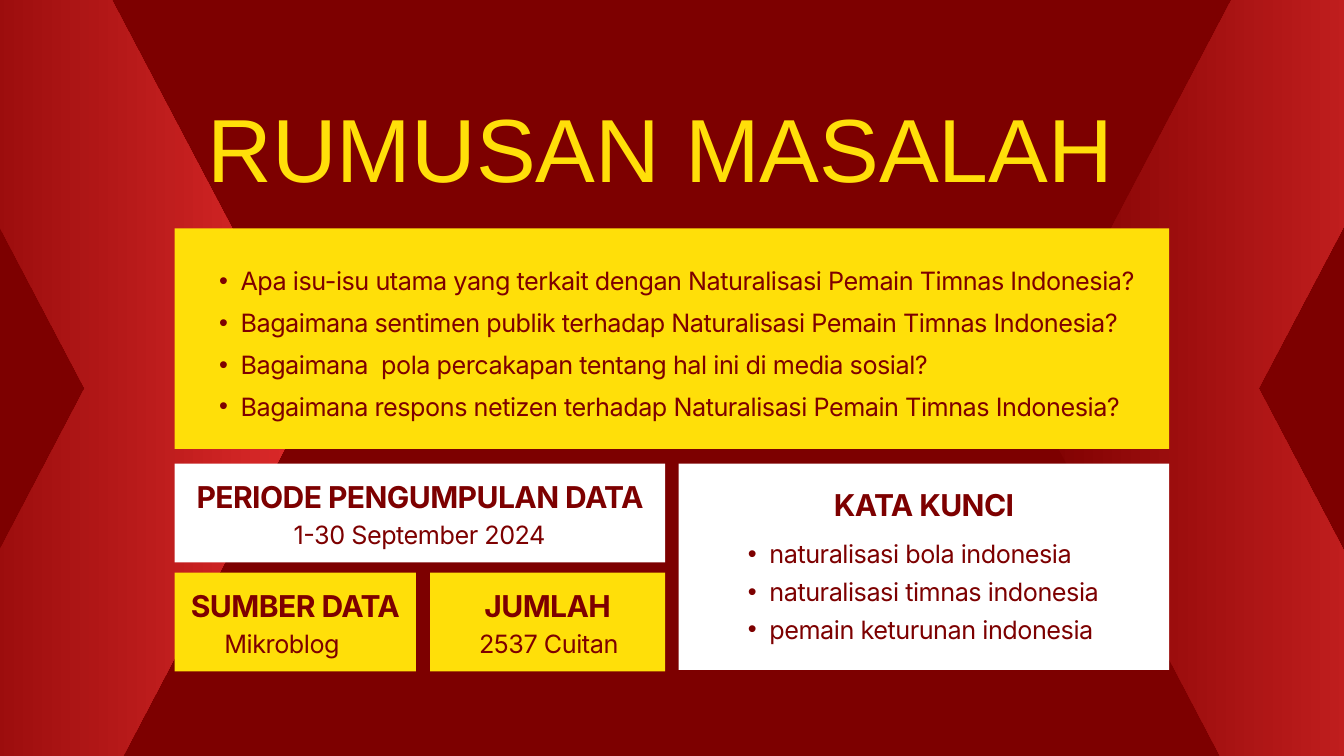
from dataclasses import dataclass

from lxml.etree import SubElement
from pptx import Presentation
from pptx.dml.color import RGBColor
from pptx.enum.shapes import MSO_SHAPE
from pptx.enum.text import PP_ALIGN
from pptx.oxml.ns import qn
from pptx.util import Inches, Pt


@dataclass(frozen=True)
class Theme:
    maroon: str = "7D0000"
    red: str = "DF2B2B"
    yellow: str = "FFDF09"
    white: str = "FFFFFF"
    title_font: str = "Arial"
    body_font: str = "Inter"
    title_size: float = 96
    heading_size: float = 32.2
    body_size: float = 27


def rgb(value):
    return RGBColor.from_string(value)


class SlideBuilder:
    def __init__(self, prs, theme):
        self.theme = theme
        self.s = prs.slides.add_slide(prs.slide_layouts[6])
        fill = self.s.background.fill
        fill.solid()
        fill.fore_color.rgb = rgb(theme.maroon)

    def chevron(self, outer, step):
        """Draw a side arrow from its outer edge; a negative step points left."""
        top, middle, bottom = -0.77, 5.78, 12.34
        points = [(0, top), (1, top), (2, middle), (1, bottom), (0, bottom), (1, middle)]
        corners = [(Inches(outer + n * step), Inches(y)) for n, y in points]
        builder = self.s.shapes.build_freeform(*corners[0])
        builder.add_line_segments(corners[1:], close=True)
        sp = builder.convert_to_shape()
        sp.shadow.inherit = False
        sp.line.fill.background()
        sp.fill.gradient()
        sp.fill.gradient_angle = 0
        for stop, color in zip(sp.fill.gradient_stops, (self.theme.maroon, self.theme.red)):
            stop.color.rgb = rgb(color)

    def panel(self, x, y, w, h, color):
        sp = self.s.shapes.add_shape(
            MSO_SHAPE.RECTANGLE, Inches(x), Inches(y), Inches(w), Inches(h))
        sp.shadow.inherit = False
        sp.fill.solid()
        sp.fill.fore_color.rgb = rgb(color)
        sp.line.fill.background()

    def text(self, x, y, w, h, lines, leading, font, color=None,
             align=PP_ALIGN.LEFT, spacing=0, bullets=False):
        box = self.s.shapes.add_textbox(Inches(x), Inches(y), Inches(w), Inches(h))
        tf = box.text_frame
        frame = {"word_wrap": True, "margin_left": 0, "margin_right": 0,
                 "margin_top": 0, "margin_bottom": 0}
        for name, value in frame.items():
            setattr(tf, name, value)
        for i, line in enumerate(lines):
            p = tf.paragraphs[0] if i == 0 else tf.add_paragraph()
            p.alignment = align
            p.line_spacing = Pt(leading)
            if bullets:
                self.bullet(p)
            r = p.add_run()
            r.text = line
            for name, value in font.items():
                setattr(r.font, name, value)
            r.font.color.rgb = rgb(color or self.theme.maroon)
            if spacing:
                r.font._element.set("spc", str(spacing))

    def bullet(self, p):
        pPr = p._p.get_or_add_pPr()
        pPr.set("marL", str(Inches(0.64)))
        pPr.set("indent", str(Inches(-0.32)))
        SubElement(pPr, qn("a:buFont")).set("typeface", "Arial")
        SubElement(pPr, qn("a:buChar")).set("char", "•")

    def title(self, x, y, w, h, line):
        font = {"name": self.theme.title_font, "size": Pt(self.theme.title_size)}
        self.text(x, y, w, h, [line], 134.4, font, self.theme.yellow, PP_ALIGN.CENTER)

    def heading(self, x, y, w, line):
        font = {"name": self.theme.body_font, "size": Pt(self.theme.heading_size),
                "bold": True}
        self.text(x, y, w, 0.61, [line], 45, font, align=PP_ALIGN.CENTER, spacing=-60)

    def body(self, x, y, w, h, lines, leading, bullets=False):
        font = {"name": self.theme.body_font, "size": Pt(self.theme.body_size)}
        self.text(x, y, w, h, lines, leading, font, spacing=-50, bullets=bullets)

    def card(self, x, y, w, color, heading, detail, detail_x):
        self.panel(x, y, w, 1.47, color)
        self.heading(x, y + 0.13, w, heading)
        self.body(detail_x, y + 0.76, x + w - detail_x, 0.51, [detail], 37.8)


def main():
    prs = Presentation()
    prs.slide_width, prs.slide_height = Inches(20), Inches(11.25)
    theme = Theme()
    slide = SlideBuilder(prs, theme)

    slide.chevron(-2.19, 3.45)
    slide.chevron(22.18, -3.45)
    slide.title(1.72, 1.11, 16.22, 1.86, "RUMUSAN MASALAH")

    left, top, column = 2.6, 6.9, 7.3
    right = left + column + 0.2
    slide.panel(left, 3.4, 14.8, 3.28, theme.yellow)
    slide.body(2.94, 3.78, 14, 2.42, [
        "Apa isu-isu utama yang terkait dengan Naturalisasi Pemain Timnas Indonesia?",
        "Bagaimana sentimen publik terhadap Naturalisasi Pemain Timnas Indonesia?",
        "Bagaimana  pola percakapan tentang hal ini di media sosial?",
        "Bagaimana respons netizen terhadap Naturalisasi Pemain Timnas Indonesia?",
    ], 44.8, bullets=True)

    slide.panel(right, top, column, 3.07, theme.white)
    slide.heading(right, 7.15, column, "KATA KUNCI")
    slide.body(10.81, 7.9, 5.88, 1.67, [
        "naturalisasi bola indonesia",
        "naturalisasi timnas indonesia",
        "pemain keturunan indonesia",
    ], 40.5, bullets=True)

    cards = [
        (left, top, column, theme.white,
         "PERIODE PENGUMPULAN DATA", "1-30 September 2024", 4.37),
        (left, 8.52, 3.59, theme.yellow, "SUMBER DATA", "Mikroblog", 3.34),
        (6.4, 8.52, 3.5, theme.yellow, "JUMLAH", "2537 Cuitan", 7.13),
    ]
    for card in cards:
        slide.card(*card)

    prs.save("out.pptx")


if __name__ == "__main__":
    main()
